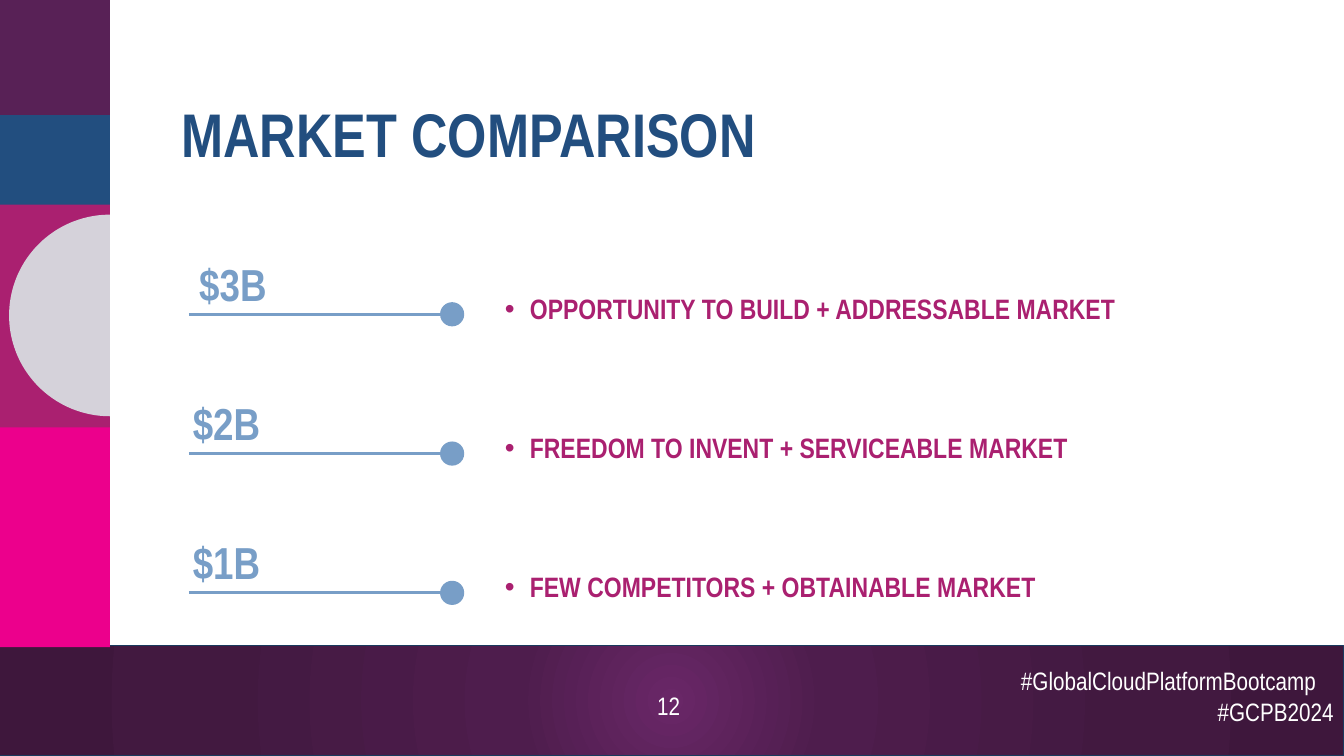
import math

from lxml import etree
from pptx import Presentation
from pptx import util as u
from pptx.dml.color import RGBColor
from pptx.enum import shapes, text
from pptx.oxml import ns, parse_xml

WHITE = RGBColor(0xFF, 0xFF, 0xFF)
NAVY = RGBColor(0x22, 0x4E, 0x7F)
EDGE = RGBColor(0x19, 0x3A, 0x5E)
SKY = RGBColor(0x78, 0x9E, 0xC7)
PLUM = RGBColor(0x58, 0x21, 0x56)
MAGENTA = RGBColor(0xAA, 0x20, 0x70)
PINK = RGBColor(0xEC, 0x00, 0x8C)
GREY = RGBColor(0xD5, 0xD2, 0xDA)
FOOTER_STOPS = [
    (0, RGBColor(0x69, 0x27, 0x67)),
    (23, RGBColor(0x4E, 0x1D, 0x4D)),
    (69, RGBColor(0x42, 0x19, 0x40)),
    (97, RGBColor(0x3E, 0x17, 0x3C)),
]

TITLE_FORMAT = {"size": u.Pt(44), "bold": True, "color": NAVY}
AMOUNT_FORMAT = {"size": u.Pt(32), "bold": True, "color": SKY}
POINT_FORMAT = {"size": u.Pt(20), "bold": True, "color": MAGENTA}
FOOTER_FORMAT = {"size": u.Pt(18), "bold": False, "color": WHITE}

# Amount, left edge of the amount, description
MARKETS = [
    ("$3B", 3.84, "OPPORTUNITY TO BUILD + ADDRESSABLE MARKET"),
    ("$2B", 3.68, "FREEDOM TO INVENT + SERVICEABLE MARKET"),
    ("$1B", 3.68, "FEW COMPETITORS + OBTAINABLE MARKET"),
]
ROW_PITCH = 3.51


def place(shape, left, top, width, height):
    box = {"left": left, "top": top, "width": width, "height": height}
    for name, value in box.items():
        setattr(shape, name, u.Cm(value))


def write(shape, words, values, align=text.PP_ALIGN.LEFT,
          anchor=text.MSO_ANCHOR.TOP, spacing=1.0, bullet=False):
    frame = shape.text_frame
    frame_values = {"word_wrap": True, "auto_size": text.MSO_AUTO_SIZE.NONE,
                    "vertical_anchor": anchor, "text": words}
    for name, value in frame_values.items():
        setattr(frame, name, value)
    paragraph = frame.paragraphs[0]
    paragraph_values = {"alignment": align, "line_spacing": spacing,
                        "space_before": u.Pt(0)}
    for name, value in paragraph_values.items():
        setattr(paragraph, name, value)
    if bullet:
        properties = paragraph._p.get_or_add_pPr()
        properties.set("marL", str(u.Cm(0.63)))
        properties.set("indent", str(u.Cm(-0.63)))
        font = etree.SubElement(properties, ns.qn("a:buFont"))
        font.set("typeface", "Arial")
        etree.SubElement(properties, ns.qn("a:buChar")).set("char", "•")
    font = paragraph.runs[0].font
    for name, value in {"name": "Arial Narrow", **values}.items():
        if name == "color":
            font.color.rgb = value
        else:
            setattr(font, name, value)


def paint(shape, color):
    shape.shadow.inherit = False
    shape.fill.solid()
    shape.fill.fore_color.rgb = color
    shape.line.fill.background()


def add_label(slide, box, words, values, **layout):
    label = slide.shapes.add_textbox(*(u.Cm(value) for value in box))
    write(label, words, values, **layout)
    return label


def add_footer(slide, left, top, width, height):
    # Band with a radial gradient
    band = slide.shapes.add_shape(
        shapes.MSO_SHAPE.RECTANGLE, *map(u.Cm, (left, top, width, height)))
    band.shadow.inherit = False
    band.line.color.rgb = EDGE
    band.line.width = u.Pt(1)
    stops = "".join(
        f'<a:gs pos="{position * 1000}"><a:srgbClr val="{color}"/></a:gs>'
        for position, color in FOOTER_STOPS)
    gradient = parse_xml(
        f'<a:gradFill {ns.nsdecls("a")} rotWithShape="1">'
        f'<a:gsLst>{stops}</a:gsLst><a:path path="circle">'
        '<a:fillToRect l="50000" t="50000" r="50000" b="50000"/>'
        '</a:path></a:gradFill>')
    band._element.spPr.find(ns.qn("a:prstGeom")).addnext(gradient)

    # Hashtags, one below the other
    hashtags = [("#GlobalCloudPlatformBootcamp", 0.69), ("#GCPB2024", 0.25)]
    for index, (hashtag, inset) in enumerate(hashtags):
        box = (left + 21.05, top + 0.37 + index * 0.78, 12.83, 0.95)
        label = add_label(slide, box, hashtag, FOOTER_FORMAT,
                          align=text.PP_ALIGN.RIGHT)
        label.text_frame.margin_right = u.Cm(inset)

    # Page number
    add_label(slide, (left + 16.33, top + 1.01, 1.27, 1.02), "12",
              FOOTER_FORMAT)


def add_side_stripe(slide, left, width):
    # Colour blocks
    blocks = [(10.67, 5.64, PINK), (5.13, 5.64, MAGENTA),
              (-2.74, 5.64, PLUM), (2.9, 2.26, NAVY)]
    for top, height, color in blocks:
        block = slide.shapes.add_shape(
            shapes.MSO_SHAPE.RECTANGLE, *map(u.Cm, (left, top, width, height)))
        paint(block, color)

    # Half disc resting on the right edge
    radius, steps = 2.54, 90
    center_x, center_y = left + width, 7.95
    points = []
    for step in range(steps + 1):
        angle = math.pi * (0.5 + step / steps)
        points.append((u.Cm(center_x + radius * math.cos(angle)),
                       u.Cm(center_y + radius * math.sin(angle))))
    builder = slide.shapes.build_freeform(*points[0])
    builder.add_line_segments(points[1:], close=True)
    paint(builder.convert_to_shape(), GREY)


def add_marker(slide, left, middle, length):
    # Rule
    rule = slide.shapes.add_connector(
        shapes.MSO_CONNECTOR.STRAIGHT, u.Cm(left), u.Cm(middle),
        u.Cm(left + length), u.Cm(middle))
    rule.line.color.rgb = SKY
    rule.line.width = u.Pt(2)
    etree.SubElement(rule._element.spPr, ns.qn("a:effectLst"))

    # Dot at its end
    diameter = 0.61
    dot = slide.shapes.add_shape(
        shapes.MSO_SHAPE.OVAL, u.Cm(left + length - 0.1),
        u.Cm(middle - diameter / 2), u.Cm(diameter), u.Cm(diameter))
    paint(dot, SKY)


def add_markets(slide, bodies, left, first_middle):
    for index, (amount, amount_left, point) in enumerate(MARKETS):
        middle = first_middle + index * ROW_PITCH
        add_label(slide, (amount_left, middle - 1.79, 4.06, 2.18), amount,
                  AMOUNT_FORMAT, align=text.PP_ALIGN.CENTER,
                  anchor=text.MSO_ANCHOR.MIDDLE, spacing=0.9)
        add_marker(slide, left, middle, 6.43)
        place(bodies[index], left + 7.71, middle - 0.61, 17.09, 2.62)
        write(bodies[index], point, POINT_FORMAT, spacing=0.9, bullet=True)


def add_comparison_slide(presentation):
    slide = presentation.slides.add_slide(presentation.slide_layouts[4])
    title, *bodies = slide.placeholders
    add_footer(slide, -0.02, 16.26, 33.88, 2.79)
    add_side_stripe(slide, -0.05, 2.82)

    # Title
    place(title, 4.32, 2.49, 28.3, 3.68)
    write(title, "MARKET COMPARISON", TITLE_FORMAT, spacing=0.9)

    # Market rows use three of the four bodies
    add_markets(slide, bodies[:3], 4.76, 7.92)
    for spare in bodies[3:]:
        spare._element.getparent().remove(spare._element)


def main():
    presentation = Presentation()
    presentation.slide_width = u.Cm(33.87)
    presentation.slide_height = u.Cm(19.05)
    add_comparison_slide(presentation)
    presentation.save("out.pptx")


if __name__ == "__main__":
    main()
